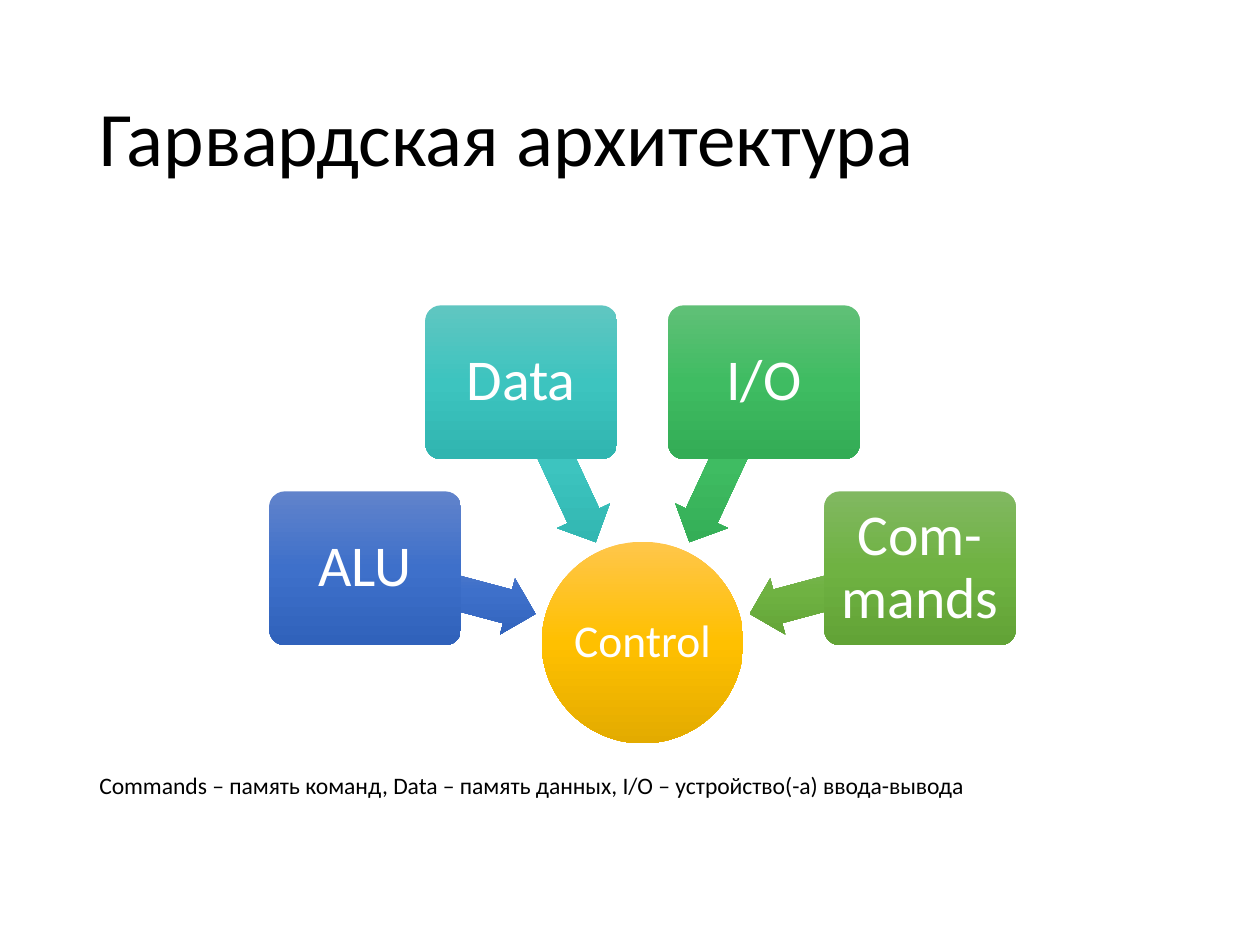
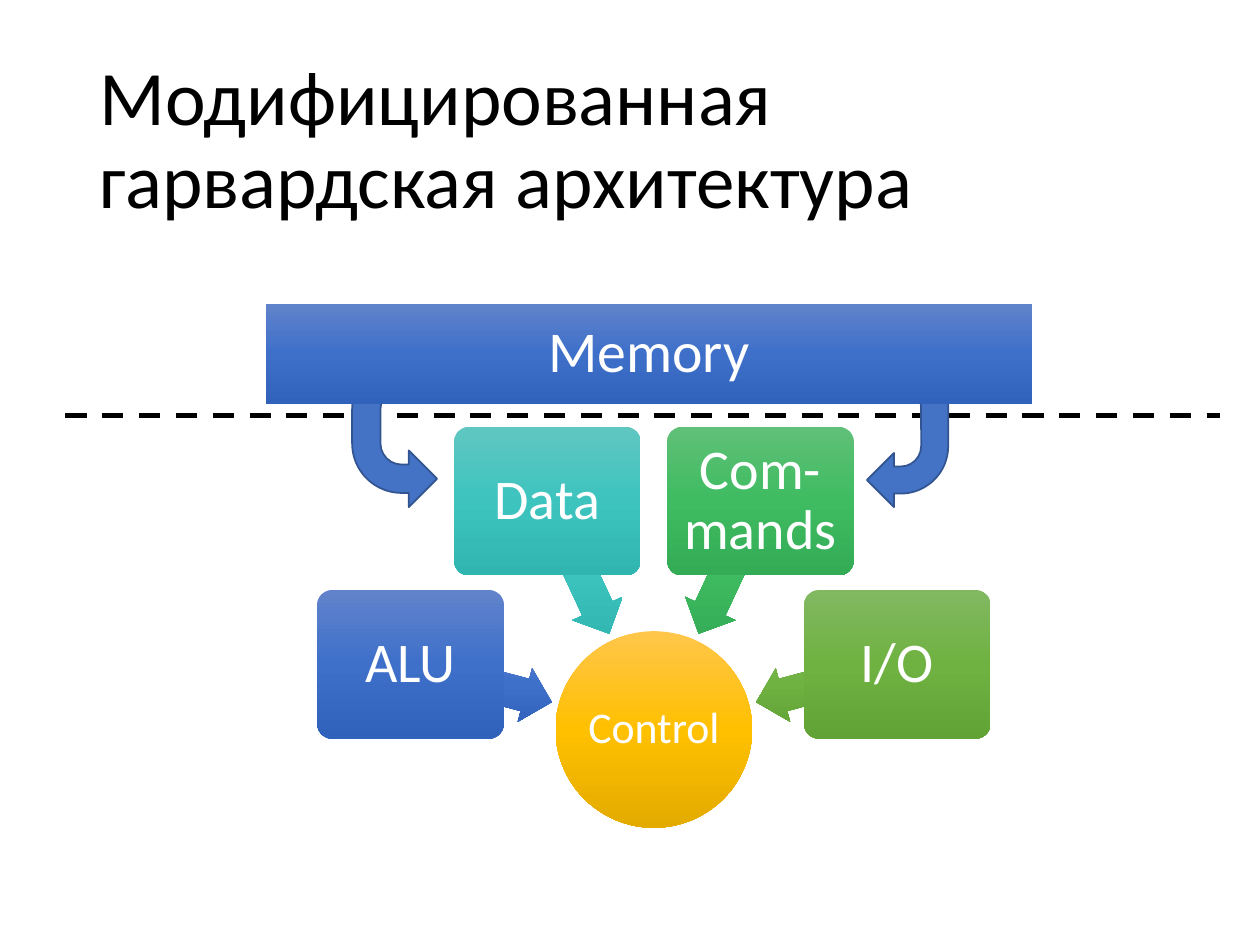
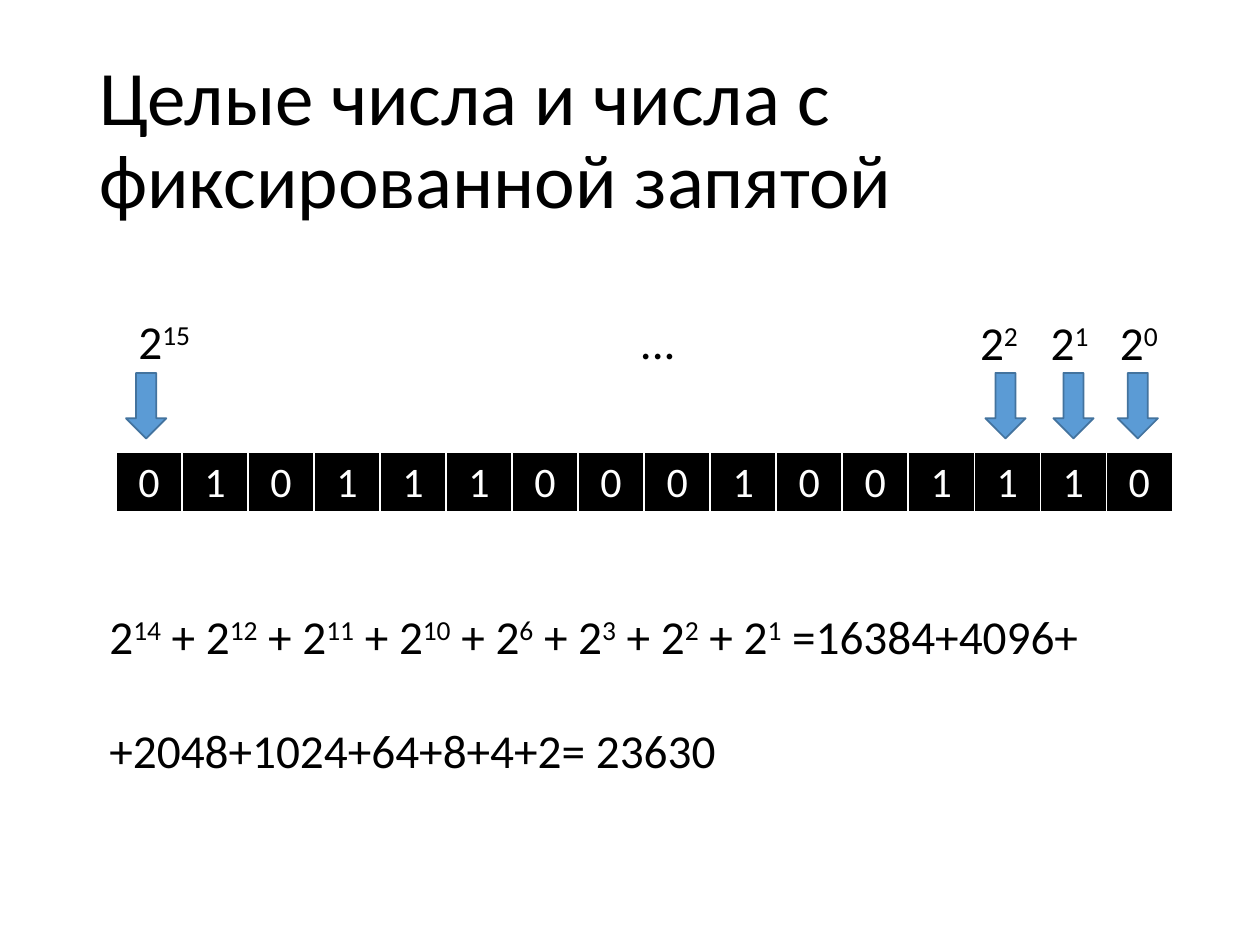
from dataclasses import dataclass
from math import cos, radians, sin

from pptx import Presentation
from pptx.dml import color
from pptx.enum import dml, shapes, text
from pptx.oxml import parse_xml
from pptx.oxml import ns
from pptx.util import Inches, Pt

# ---- Content -------------------------------------------------------------
HARVARD = {
    "title": "Гарвардская архитектура",
    "hub": "Control",
    "units": ["ALU", "Data", "I/O", "Com-mands"],
    "note": "Commands – память команд, Data – память данных, "
            "I/O – устройство(-а) ввода-вывода",
}
MODIFIED = {
    "title": "Модифицированная гарвардская архитектура",
    "hub": "Control",
    "units": ["ALU", "Data", "Com-mands", "I/O"],
    "memory": "Memory",
}
# In number lines every second part between bars is an exponent.
NUMBERS = {
    "title": "Целые числа и числа с фиксированной запятой",
    "bits": "0101110001001110",
    "high_power": "2|15|\t...",
    "low_powers": "2|2|\t2|1|\t2|0|",
    "sum_start": " =16384+4096+",
    "sum_end": "+2048+1024+64+8+4+2= 23630",
}


@dataclass(frozen=True)
class Theme:
    """Colours, type sizes and font shared by all slides."""
    font: str = "Calibri"
    ink: str = "000000"
    paper: str = "FFFFFF"
    title: float = 44
    formula: float = 27
    bit: float = 24
    note: float = 13.5
    memory: float = 33
    amber: tuple = ("FFC64B", "FFC000", "E3AB00")
    blue: tuple = ("6183CB", "3E70CA", "3062BB")
    teal: tuple = ("60C6C1", "3DC4BF", "30B5B0")
    green: tuple = ("60C077", "3FBC62", "33AC55")
    lime: tuple = ("81B861", "6FB242", "62A336")
    feed: tuple = ("4472C4", "325491")
    pointer: tuple = ("5B9BD5", "43739E")


THEME = Theme()
UNIT_COLOURS = (THEME.blue, THEME.teal, THEME.green, THEME.lime)
SPOKE_ANGLES = (195, 245, 295, 345)
SHAPE = shapes.MSO_SHAPE


# ---- Helpers -------------------------------------------------------------
def rgb(value):
    """Turn a hex string into a colour."""
    return color.RGBColor.from_string(value)


def style_runs(paragraph, size, ink):
    """Give every run of a paragraph the theme font, a size and a colour."""
    for run in paragraph.runs:
        run.font.name = THEME.font
        run.font.size = Pt(size)
        run.font.color.rgb = rgb(ink)


def set_label(shape, words, size, inset):
    """Write a centred white label inside a shape."""
    frame = shape.text_frame
    frame.word_wrap = True
    frame.vertical_anchor = text.MSO_ANCHOR.MIDDLE
    frame.margin_left = frame.margin_right = Inches(inset)
    frame.margin_top = frame.margin_bottom = Inches(inset)
    frame.text = words
    line = frame.paragraphs[0]
    line.alignment = text.PP_ALIGN.CENTER
    line.line_spacing = 0.9
    style_runs(line, size, THEME.paper)


def add_text(slide, at, size, words=""):
    """Add a wrapping text box and return its text frame."""
    frame = slide.shapes.add_textbox(*map(Inches, at)).text_frame
    frame.word_wrap = True
    frame.text = words
    style_runs(frame.paragraphs[0], size, THEME.ink)
    return frame


def add_slide(deck, title):
    """Add a blank slide with the shared title."""
    slide = deck.slides.add_slide(deck.slide_layouts[6])
    frame = add_text(slide, (0.69, 0.4, 8.62, 1.45), THEME.title, title)
    frame.vertical_anchor = text.MSO_ANCHOR.MIDDLE
    frame.paragraphs[0].line_spacing = 0.9
    return slide


def add_gradient(slide, kind, at, colours):
    """Add a borderless shape shaded from top to bottom."""
    shape = slide.shapes.add_shape(kind, *map(Inches, at))
    shape.shadow.inherit = False
    shape.line.fill.background()
    stops = "".join(
        f'<a:gs pos="{i * 50000}"><a:srgbClr val="{c}"/></a:gs>'
        for i, c in enumerate(colours))
    gradient = parse_xml(
        f'<a:gradFill {ns.nsdecls("a")} rotWithShape="0"><a:gsLst>{stops}'
        '</a:gsLst><a:lin ang="5400000" scaled="0"/></a:gradFill>')
    shape._element.spPr.find(ns.qn("a:prstGeom")).addnext(gradient)
    return shape


def add_solid(slide, kind, at, colours):
    """Add a plain shape with a thin border."""
    fill, border = colours
    shape = slide.shapes.add_shape(kind, *map(Inches, at))
    shape.shadow.inherit = False
    shape.fill.solid()
    shape.fill.fore_color.rgb = rgb(fill)
    shape.line.color.rgb = rgb(border)
    shape.line.width = Pt(1)
    return shape


def centred(x, y, width, height):
    """Return the box with the given centre."""
    return x - width / 2, y - height / 2, width, height


def add_hub(slide, content, centre, hub, box, arrow, reach, sizes):
    """Draw the control hub with units on spokes pointing to it."""
    arrow_reach, box_reach = reach
    hub_size, unit_size = sizes
    control = add_gradient(slide, SHAPE.OVAL, centred(*centre, hub, hub),
                           THEME.amber)
    set_label(control, content["hub"], hub_size, 0.02)
    for name, angle, colours in zip(content["units"], SPOKE_ANGLES,
                                    UNIT_COLOURS):
        dx, dy = cos(radians(angle)), sin(radians(angle))

        def on_spoke(distance, size):
            """Centre a box on this spoke."""
            return centred(centre[0] + distance * dx,
                           centre[1] + distance * dy, *size)

        spoke = add_gradient(slide, SHAPE.LEFT_ARROW,
                             on_spoke(arrow_reach, arrow), colours)
        spoke.adjustments[0], spoke.adjustments[1] = 0.6, 0.5
        spoke.rotation = angle
        unit = add_gradient(slide, SHAPE.ROUNDED_RECTANGLE,
                            on_spoke(box_reach, box), colours)
        unit.adjustments[0] = 0.1
        set_label(unit, name, unit_size, 0.07)


def write_powers(paragraph, notation, tabs=()):
    """Write a number line with raised exponents and optional tab stops."""
    for i, part in enumerate(notation.split("|")):
        if part:
            run = paragraph.add_run()
            run.text = part
            if i % 2:
                run.font._element.set("baseline", "30000")
    style_runs(paragraph, THEME.formula, THEME.ink)
    if tabs:
        stops = "".join(f'<a:tab pos="{Inches(t)}" algn="l"/>' for t in tabs)
        paragraph._p.get_or_add_pPr().append(
            parse_xml(f'<a:tabLst {ns.nsdecls("a")}>{stops}</a:tabLst>'))


def add_bits(slide, bits):
    """Draw the bits as a one-row table with white borders."""
    table = slide.shapes.add_table(
        1, len(bits), *map(Inches, (0.92, 3.59, 8.39, 0.47))).table
    for i, bit in enumerate(bits):
        table.columns[i].width = Inches(8.39 / len(bits))
        cell = table.cell(0, i)
        cell.margin_left = cell.margin_right = Inches(0.07)
        cell.margin_top = cell.margin_bottom = Inches(0.04)
        cell.text = bit
        line = cell.text_frame.paragraphs[0]
        line.alignment = text.PP_ALIGN.CENTER
        style_runs(line, THEME.bit, THEME.paper)
        line.runs[0].font.bold = False
        cell.fill.solid()
        cell.fill.fore_color.rgb = rgb(THEME.ink)
        properties = cell._tc.get_or_add_tcPr()
        for n, (side, width) in enumerate(zip("LRTB", (1, 1, 1, 3))):
            properties.insert(n, parse_xml(
                f'<a:ln{side} {ns.nsdecls("a")} w="{Pt(width)}"><a:solidFill>'
                f'<a:srgbClr val="{THEME.paper}"/></a:solidFill></a:ln{side}>'))


# ---- Slides --------------------------------------------------------------
def build_harvard(deck):
    """Show the Harvard architecture with its legend."""
    slide = add_slide(deck, HARVARD["title"])
    add_hub(slide, HARVARD, centre=(5.1, 5.1), hub=1.6, box=(1.52, 1.22),
            arrow=(1.4, 0.46), reach=(1.58, 2.28), sizes=(26, 33))
    add_text(slide, (0.69, 6.07, 8.94, 0.33), THEME.note, HARVARD["note"])


def build_modified(deck):
    """Show the modified architecture with one memory above the units."""
    slide = add_slide(deck, MODIFIED["title"])
    border = slide.shapes.add_connector(
        shapes.MSO_CONNECTOR.STRAIGHT, *map(Inches, (0.52, 3.3, 9.68, 3.3)))
    border.line.color.rgb = rgb(THEME.ink)
    border.line.width = Pt(3)
    border.line.dash_style = dml.MSO_LINE.DASH
    border._element.spPr.append(
        parse_xml(f'<a:effectLst {ns.nsdecls("a")}/>'))
    data_feed, command_feed = [
        add_solid(slide, SHAPE.U_TURN_ARROW, at, THEME.feed)
        for at in ((2.66, 2.99, 1.17, 0.9), (6.51, 3.01, 1.17, 0.86))]
    data_feed.rotation = command_feed.rotation = 90
    data_feed._element.spPr.find(ns.qn("a:xfrm")).set("flipV", "1")
    add_hub(slide, MODIFIED, centre=(5.19, 5.79), hub=1.56, box=(1.48, 1.18),
            arrow=(1.16, 0.44), reach=(1.42, 2.0), sizes=(25, 32))
    memory = add_gradient(slide, SHAPE.RECTANGLE, (2.11, 2.41, 6.08, 0.8),
                          THEME.blue)
    set_label(memory, MODIFIED["memory"], THEME.memory, 0.14)


def build_numbers(deck):
    """Show a 16-bit number and its value as a sum of powers of two."""
    slide = add_slide(deck, NUMBERS["title"])
    bits = NUMBERS["bits"]
    add_bits(slide, bits)
    for left in (8.87, 8.36, 7.82, 1):
        add_solid(slide, SHAPE.DOWN_ARROW, (left, 2.96, 0.32, 0.52),
                  THEME.pointer)
    low = add_text(slide, (7.68, 2.44, 1.84, 0.56), THEME.formula)
    write_powers(low.paragraphs[0], NUMBERS["low_powers"], (0.56, 1.11))
    high = add_text(slide, (1, 2.43, 6.59, 0.56), THEME.formula)
    write_powers(high.paragraphs[0], NUMBERS["high_power"], (3.98,))

    powers = [f"2|{len(bits) - 1 - i}|"
              for i, bit in enumerate(bits) if bit == "1"]
    total = add_text(slide, (0.77, 4.77, 8.46, 1.31), THEME.formula)
    write_powers(total.paragraphs[0],
                 " + ".join(powers) + NUMBERS["sum_start"])
    ending = total.add_paragraph()
    ending.space_before = Pt(33)
    write_powers(ending, NUMBERS["sum_end"])


deck = Presentation()
deck.slide_width, deck.slide_height = Inches(10), Inches(7.5)
for build in (build_harvard, build_modified, build_numbers):
    build(deck)
deck.save("out.pptx")
